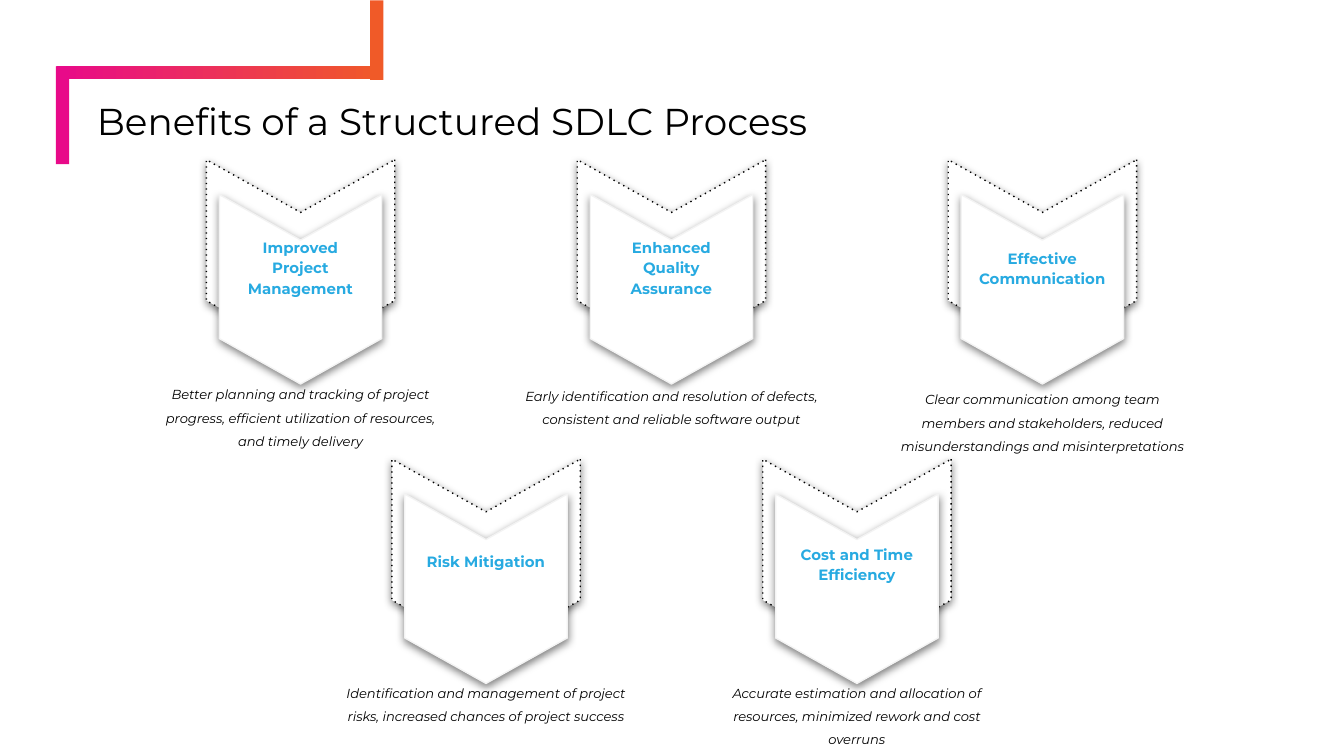
"""Build a slide with the benefits of a structured SDLC process."""
from dataclasses import dataclass

from lxml.etree import SubElement
from pptx import Presentation
from pptx.dml.color import RGBColor
from pptx.enum.dml import MSO_LINE as Dash
from pptx.enum.shapes import MSO_SHAPE as Kind
from pptx.enum.text import MSO_ANCHOR as Anchor, MSO_AUTO_SIZE as Fit, PP_ALIGN as Align
from pptx.oxml.ns import qn
from pptx.shapes.autoshape import Shape
from pptx.slide import Slide
from pptx.util import Cm, Pt

BLACK = RGBColor(0x00, 0x00, 0x00)
WHITE = RGBColor(0xFF, 0xFF, 0xFF)
GREY = RGBColor(0xF3, 0xF3, 0xF3)
BLUE = RGBColor(0x27, 0xAA, 0xE1)
PINK = RGBColor(0xE8, 0x0A, 0x89)
ORANGE = RGBColor(0xF0, 0x5A, 0x28)
FONT = "Montserrat"
LEFT, STEP = 5.68, 7.01
TOP, DROP = 4.85, 5.66
BAR = 0.25


@dataclass
class Card:
    col: float
    row: int
    head: str
    rows: int
    head_y: float
    note: str
    lines: int
    note_y: float


CARDS = [
    Card(0, 0, "Improved Project Management", 3, 5.04,
         "Better planning and tracking of project progress, efficient utilization "
         "of resources, and timely delivery", 3, 6.91),
    Card(1, 0, "Enhanced Quality Assurance", 3, 5.04,
         "Early identification and resolution of defects, consistent and reliable "
         "software output", 2, 6.94),
    Card(2, 0, "Effective Communication", 2, 5.04,
         "Clear communication among team members and stakeholders, reduced "
         "misunderstandings and misinterpretations", 3, 7.01),
    Card(0.5, 1, "Risk Mitigation", 1, 10.64,
         "Identification and management of project risks, increased chances of "
         "project success", 2, 12.55),
    Card(1.5, 1, "Cost and Time Efficiency", 2, 10.64,
         "Accurate estimation and allocation of resources, minimized rework and "
         "cost overruns", 3, 12.55),
]


def add_form(slide: Slide, kind: Kind, x: float, y: float, wide: float, high: float,
             color: RGBColor, turn: float = 0) -> Shape:
    form = slide.shapes.add_shape(
        kind, Cm(x - wide / 2), Cm(y - high / 2), Cm(wide), Cm(high))
    form.rotation = turn
    form.shadow.inherit = False
    form.fill.solid()
    form.fill.fore_color.rgb = color
    form.line.fill.background()
    return form


def add_frame(slide: Slide) -> None:
    beam = add_form(slide, Kind.RECTANGLE, 4.15, 1.37, 6.17, BAR, PINK)
    beam.fill.gradient()
    beam.fill.gradient_angle = 0
    for stop, color in zip(beam.fill.gradient_stops, (PINK, ORANGE)):
        stop.color.rgb = color
    add_form(slide, Kind.RECTANGLE, 1.18, 2.18, 1.85, BAR, PINK, 90)
    add_form(slide, Kind.RECTANGLE, 7.12, 0.76, 1.5, BAR, ORANGE, 90)


def add_badge(slide: Slide, x: float, y: float, wide: float, high: float,
              edge: RGBColor, dots: bool = False) -> None:
    badge = add_form(slide, Kind.CHEVRON, x, y, wide, high, WHITE, 90)
    badge.adjustments[0] = 0.28
    badge.line.color.rgb = edge
    badge.line.width = Pt(0.75)
    if dots:
        badge.line.dash_style = Dash.ROUND_DOT
        next(badge._element.iter(qn("a:prstDash"))).set("val", "dot")
    effect = next(badge._element.iter(qn("a:effectLst")))
    shade = SubElement(effect, qn("a:outerShdw"), blurRad=str(Pt(4.5)),
                       dist=str(Pt(1.5)), dir="5400000", algn="bl", rotWithShape="0")
    color = SubElement(shade, qn("a:srgbClr"), val=str(BLACK))
    SubElement(color, qn("a:alpha"), val="50000")


def add_text(slide: Slide, x: float, y: float, wide: float, high: float, text: str,
             size: float, color: RGBColor, space: float, bold: bool = False) -> None:
    box = slide.shapes.add_textbox(Cm(x - wide / 2), Cm(y), Cm(wide), Cm(high))
    frame = box.text_frame
    frame.word_wrap = True
    frame.auto_size = Fit.SHAPE_TO_FIT_TEXT
    frame.margin_left = frame.margin_right = Cm(0.25)
    frame.margin_top = frame.margin_bottom = Cm(0.25)
    para = frame.paragraphs[0]
    para.alignment = Align.CENTER
    para.line_spacing = space
    para.space_after = Pt(10)
    run = para.add_run()
    run.text = text
    font = run.font
    font.name, font.size, font.color.rgb = FONT, Pt(size), color
    font.bold, font.italic = bold, not bold


def add_card(slide: Slide, card: Card) -> None:
    x, y = LEFT + card.col * STEP, TOP + card.row * DROP
    add_badge(slide, x, y, 3.66, 3.56, BLACK, dots=True)
    add_badge(slide, x, y + 0.62, 3.58, 3.07, GREY)
    high = 0.46 + 0.4 * card.rows
    add_text(slide, x, card.head_y - high / 2, 2.92, high, card.head, 8, BLUE, 1.15, True)
    add_text(slide, x, card.note_y, 6.1, 0.41 + 0.43 * card.lines, card.note, 7, BLACK, 1.5)


def add_title(slide: Slide, text: str) -> None:
    title = slide.shapes.title
    title.left, title.top, title.width, title.height = Cm(1.7), Cm(1.98), Cm(22.94), Cm(0.86)
    frame = title.text_frame
    frame.auto_size = Fit.NONE
    frame.word_wrap = True
    frame.vertical_anchor = Anchor.BOTTOM
    frame.margin_left = frame.margin_right = Cm(0.13)
    frame.margin_top = frame.margin_bottom = Cm(0.13)
    para = frame.paragraphs[0]
    para.alignment = Align.LEFT
    para.line_spacing = 0.9
    run = para.add_run()
    run.text = text
    run.font.name, run.font.size, run.font.color.rgb = FONT, Pt(20), BLACK


def main() -> None:
    deck = Presentation()
    deck.slide_width, deck.slide_height = Cm(25.4), Cm(14.29)
    slide = deck.slides.add_slide(deck.slide_layouts[5])
    add_frame(slide)
    add_title(slide, "Benefits of a Structured SDLC Process")
    for card in CARDS:
        add_card(slide, card)
    deck.save("out.pptx")


if __name__ == "__main__":
    main()
